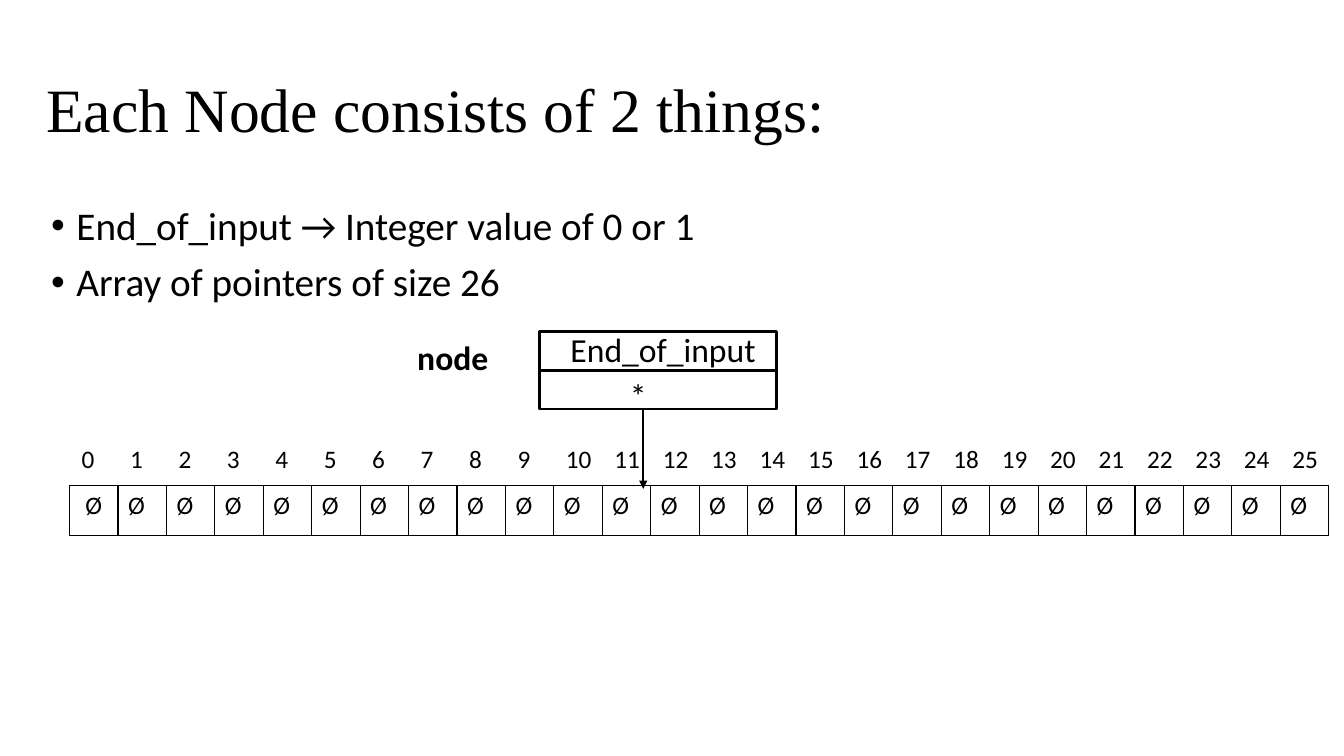
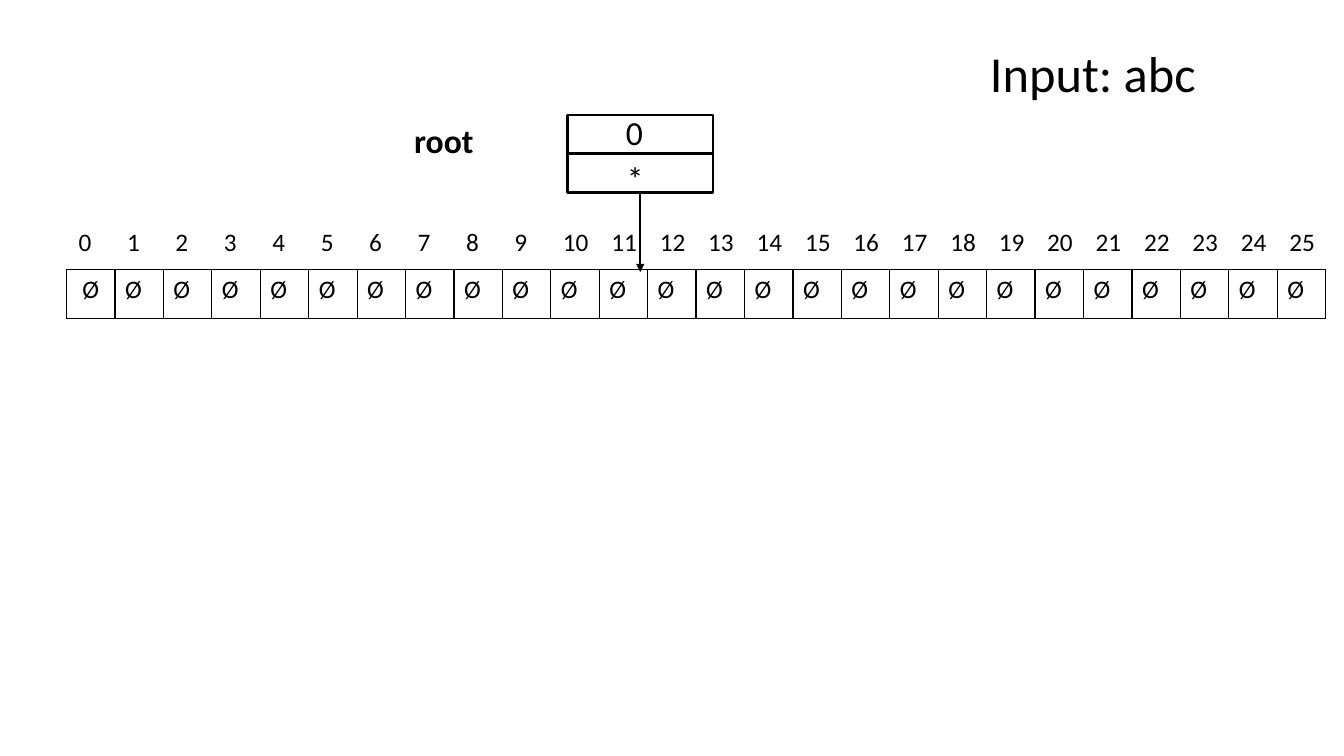
from dataclasses import dataclass
from math import isclose
from typing import Any

from lxml import etree
from pptx import Presentation
from pptx.dml.color import RGBColor
from pptx.enum import shapes, text
from pptx.oxml.ns import qn
from pptx.util import Inches, Pt

BLACK = RGBColor(0x00, 0x00, 0x00)
LINE_WIDTH = Pt(1.75)
BORDER_WIDTH = Pt(1)

TITLE = {"name": "Times New Roman", "size": Pt(44)}
BODY = {"name": "Calibri", "size": Pt(28)}
INPUT = {"name": "Calibri", "size": Pt(36)}
FIELD = {"name": "Calibri", "size": Pt(24)}
LABEL = {**FIELD, "bold": True}
CELL = {"name": "Calibri", "size": Pt(18)}

BULLET_SPACING = {"line_spacing": 0.9, "space_before": Pt(10)}
BULLET_INDENT = Inches(0.25)

POINTERS = 26
ARRAY_WIDTH = 12.49
BOX_HEIGHT = 0.77


@dataclass(frozen=True)
class Box:
    left: float
    top: float
    width: float
    height: float

    def lengths(self) -> tuple[int, ...]:
        return tuple(Inches(v) for v in (self.left, self.top, self.width, self.height))


@dataclass(frozen=True)
class Node:
    """A trie node: its two-field box above its array of pointers."""
    label: str
    flag: str
    flag_left: float
    flag_width: float
    box_left: float
    box_width: float
    array_left: float
    top: float


def set_format(target: Any, values: dict[str, Any]) -> None:
    for name, value in values.items():
        setattr(target, name, value)


def write(p: Any, content: str, font: dict[str, Any]) -> None:
    r = p.add_run()
    r.text = content
    set_format(r.font, font)
    r.font.color.rgb = BLACK


def add_text(slide: Any, box: Box, lines: list[str], font: dict[str, Any],
             **frame: Any) -> Any:
    tf = slide.shapes.add_textbox(*box.lengths()).text_frame
    set_format(tf, {"word_wrap": True, **frame})
    for i, line in enumerate(lines):
        p = tf.add_paragraph() if i else tf.paragraphs[0]
        write(p, line, font)
    return tf


def add_label(slide: Any, box: Box, content: str, font: dict[str, Any]) -> None:
    add_text(slide, box, [content], font,
             auto_size=text.MSO_AUTO_SIZE.SHAPE_TO_FIT_TEXT)


def add_bullets(slide: Any, box: Box, lines: list[str]) -> None:
    for p in add_text(slide, box, lines, BODY).paragraphs:
        set_format(p, BULLET_SPACING)
        pPr = p._p.get_or_add_pPr()
        pPr.set("marL", str(BULLET_INDENT))
        pPr.set("indent", str(-BULLET_INDENT))
        etree.SubElement(pPr, qn("a:buFont"), typeface="Arial")
        etree.SubElement(pPr, qn("a:buChar"), char="•")


def add_line(slide: Any, x1: float, y1: float, x2: float, y2: float,
             arrow: bool = False) -> Any:
    line = slide.shapes.add_connector(
        shapes.MSO_CONNECTOR.STRAIGHT, *(Inches(v) for v in (x1, y1, x2, y2)))
    line.line.color.rgb = BLACK
    line.line.width = LINE_WIDTH
    if arrow:
        etree.SubElement(line.line._get_or_add_ln(), qn("a:tailEnd"), type="triangle")
    etree.SubElement(line._element.spPr, qn("a:effectLst"))
    return line


def add_borders(cell: Any) -> None:
    tcPr = cell._tc.get_or_add_tcPr()
    for side in ("lnL", "lnR", "lnT", "lnB"):
        ln = etree.SubElement(tcPr, qn(f"a:{side}"), w=str(BORDER_WIDTH))
        fill = etree.SubElement(ln, qn("a:solidFill"))
        etree.SubElement(fill, qn("a:srgbClr"), val=str(BLACK))


def add_row(slide: Any, box: Box, values: list[str], bordered: bool = False) -> Any:
    """Add a one-row table with equal columns."""
    table = slide.shapes.add_table(1, len(values), *box.lengths()).table
    set_format(table, {"first_row": False, "horz_banding": False})
    for i, value in enumerate(values):
        table.columns[i].width = Inches(box.width / len(values))
        cell = table.cell(0, i)
        if bordered:
            add_borders(cell)
        cell.fill.background()
        write(cell.text_frame.paragraphs[0], value, CELL)
    return table


def add_node(slide: Any, node: Node) -> None:
    left, top, right = node.box_left, node.top, node.box_left + node.box_width
    middle, bottom = top + BOX_HEIGHT / 2, top + BOX_HEIGHT

    sp = slide.shapes.add_shape(
        shapes.MSO_SHAPE.RECTANGLE,
        *Box(left, top, node.box_width, BOX_HEIGHT).lengths())
    sp.shadow.inherit = False
    sp.fill.background()
    sp.line.color.rgb = BLACK
    sp.line.width = LINE_WIDTH

    divider = add_line(slide, left, middle, right, middle)
    divider.begin_connect(sp, 1)
    divider.end_connect(sp, 3)

    add_label(slide, Box(node.flag_left, top - 0.08, node.flag_width, 0.5),
              node.flag, FIELD)
    add_label(slide, Box(node.array_left + 5.46, top + 0.38, 0.46, 0.5), "*", FIELD)

    add_row(slide, Box(node.array_left + 0.02, top + 1.07, ARRAY_WIDTH, 0.4),
            [str(i) for i in range(POINTERS)])
    slots = add_row(slide, Box(node.array_left, top + 1.53, ARRAY_WIDTH, 0.49),
                    ["Ø"] * POINTERS, bordered=True)
    slots.cell(0, 0).text_frame.paragraphs[0].alignment = text.PP_ALIGN.CENTER

    arrow_x = node.array_left + 5.69
    arrow = add_line(slide, arrow_x, bottom, arrow_x, top + 1.56, arrow=True)
    if isclose(arrow_x, (left + right) / 2, abs_tol=0.005):
        arrow.begin_connect(sp, 2)

    add_label(slide, Box(node.array_left + 3.35, top, 0.94, 0.5), node.label, LABEL)


def main() -> None:
    prs = Presentation()
    prs.slide_width, prs.slide_height = Inches(13.33), Inches(7.5)
    blank = prs.slide_layouts[6]

    structure = prs.slides.add_slide(blank)
    add_text(structure, Box(0.36, 0.34, 11.5, 1.45),
             ["Each Node consists of 2 things:"], TITLE,
             vertical_anchor=text.MSO_ANCHOR.MIDDLE)
    add_bullets(structure, Box(0.41, 2, 11.5, 4.76),
                ["End_of_input → Integer value of 0 or 1",
                 "Array of pointers of size 26"])
    add_node(structure, Node("node", "End_of_input", flag_left=5.56, flag_width=2.22,
                             box_left=5.35, box_width=2.35, array_left=0.69, top=3.29))

    root = prs.slides.add_slide(blank)
    add_node(root, Node("root", "0", flag_left=6.11, flag_width=0.46,
                        box_left=5.63, box_width=1.44, array_left=0.66, top=1.14))
    add_label(root, Box(9.72, 0.37, 3.21, 0.71), "Input: abc", INPUT)

    prs.save("out.pptx")


if __name__ == "__main__":
    main()
